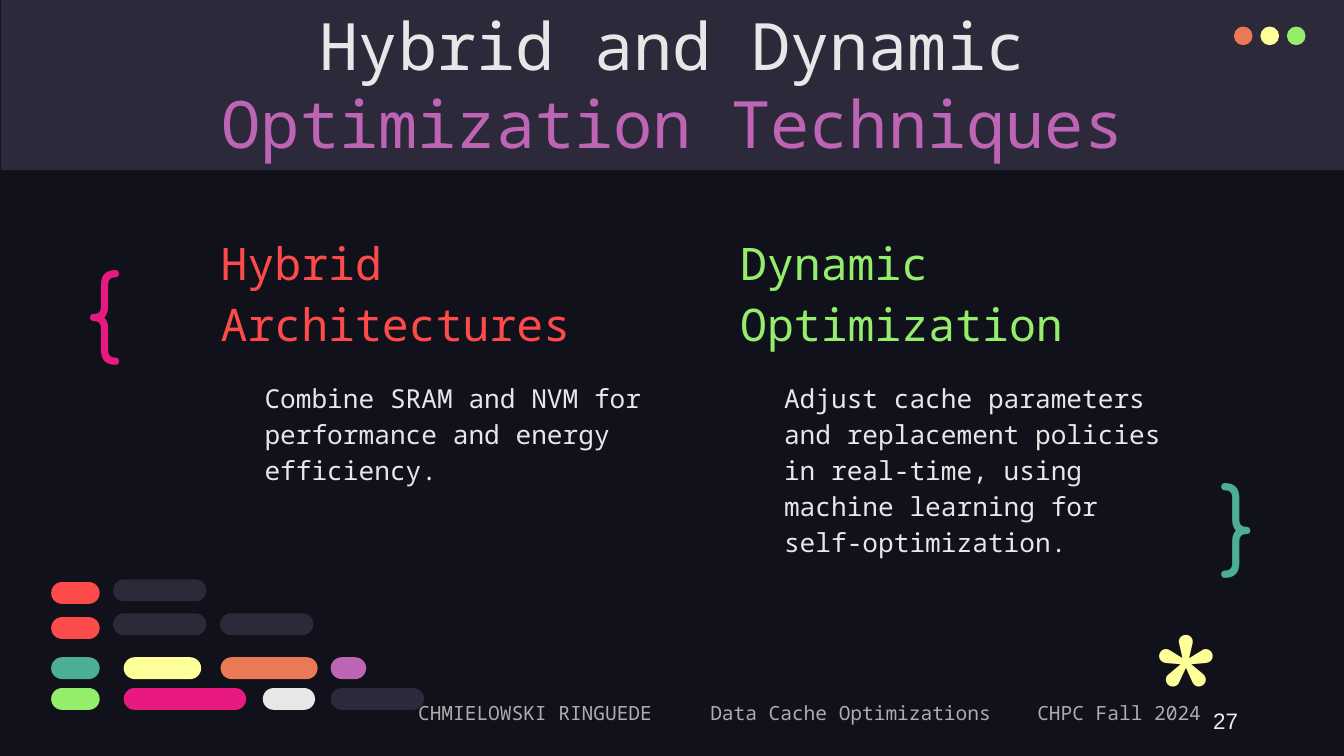
from lxml import etree
from pptx import Presentation
from pptx.dml.color import RGBColor
from pptx.enum.shapes import MSO_SHAPE
from pptx.enum.text import MSO_ANCHOR, MSO_AUTO_SIZE, PP_ALIGN
from pptx.oxml.ns import qn
from pptx.util import Pt

RECTANGLE = MSO_SHAPE.RECTANGLE
PILL = MSO_SHAPE.ROUNDED_RECTANGLE
OVAL = MSO_SHAPE.OVAL
TOP, MIDDLE, BOTTOM = MSO_ANCHOR.TOP, MSO_ANCHOR.MIDDLE, MSO_ANCHOR.BOTTOM
LEFT, CENTER, RIGHT = PP_ALIGN.LEFT, PP_ALIGN.CENTER, PP_ALIGN.RIGHT
NO_AUTOFIT = MSO_AUTO_SIZE.NONE

MONO, ROUND, SANS = "Noto Sans Mono", "Comfortaa", "Arial"
NIGHT, SLATE, WHITE = "10111A", "2C293A", "E7E7E7"
RED, ORANGE, YELLOW, GREEN = "FD4A4A", "EC7955", "FFFF99", "94EE6B"
TEAL, PINK, PURPLE = "4CAE97", "E81A81", "BD64B5"
GRAY, PALE = "ADADAD", "ECECEC"

COLUMNS = [
    ("Hybrid Architectures", RED,
     "Combine SRAM and NVM for performance and energy efficiency."),
    ("Dynamic Optimization", GREEN,
     "Adjust cache parameters and replacement policies in real-time, "
     "using machine learning for self-optimization."),
]
PILL_ROWS = [
    (311.8, [(27.4, 26, RED)]),
    (330.6, [(27.4, 26, RED)]),
    (352.1, [(27.4, 26, TEAL), (66.3, 41.5, YELLOW),
             (118.2, 52, ORANGE), (177.2, 19, PURPLE)]),
    (368.6, [(27.4, 26, GREEN), (66.3, 65.6, PINK),
             (140.8, 28, WHITE), (177.2, 50, SLATE)]),
    (328.6, [(60.6, 50, SLATE), (117.9, 50, SLATE)]),
    (310.4, [(60.6, 50, SLATE)]),
]


def color(code):
    return RGBColor.from_string(code)


def place(box, left, top, width, height):
    box.left, box.top = Pt(left), Pt(top)
    box.width, box.height = Pt(width), Pt(height)


def add_solid(shapes, kind, area, fill):
    solid = shapes.add_shape(kind, *map(Pt, area))
    solid.shadow.inherit = False
    solid.fill.solid()
    solid.fill.fore_color.rgb = color(fill)
    solid.line.fill.background()
    if kind == PILL:
        solid.adjustments[0] = 0.5
    return solid


def write(box, spans, size, font=MONO, align=LEFT, anchor=TOP, spacing=1.0, inset=7.2):
    frame = box.text_frame
    frame.word_wrap = True
    frame.auto_size = NO_AUTOFIT
    frame.vertical_anchor = anchor
    frame.margin_left = frame.margin_right = Pt(7.2)
    frame.margin_top = frame.margin_bottom = Pt(inset)
    para = frame.paragraphs[0]
    para.alignment = align
    para.line_spacing = spacing
    para.space_before = para.space_after = Pt(0)
    for text, ink in spans:
        span = para.add_run()
        span.text = text
        span.font.size = Pt(size)
        span.font.name = font
        span.font.bold = False
        span.font.color.rgb = color(ink)
    return para


def remove_bullet(para):
    properties = para._p.get_or_add_pPr()
    properties.set("marL", "0")
    properties.set("indent", "0")
    etree.SubElement(properties, qn("a:buNone"))


def set_tabs(para, positions):
    tabs = etree.SubElement(para._p.get_or_add_pPr(), qn("a:tabLst"))
    for position in positions:
        etree.SubElement(tabs, qn("a:tab"), pos=str(Pt(position)), algn="l")


def add_label(page, area, text, ink, size, font, **layout):
    box = page.shapes.add_textbox(*map(Pt, area))
    write(box, [(text, ink)], size, font, **layout)


def add_header(page):
    title = page.shapes.title
    band = add_solid(page.shapes, RECTANGLE, (0.5, 0, 720, 91.2), SLATE)
    title._element.addprevious(band._element)
    place(title, 57, -4.5, 607, 45)
    write(title, [("Hybrid and Dynamic ", WHITE), ("Optimization Techniques", PURPLE)],
          35, align=CENTER)
    dots = page.shapes.add_group_shape()
    for index, fill in enumerate((ORANGE, YELLOW, GREEN)):
        add_solid(dots.shapes, OVAL, (661 + 14.2 * index, 14.2, 10, 10), fill)


def add_columns(page):
    for index, (heading, ink, detail) in enumerate(COLUMNS):
        left = 111 + 278.3 * index
        heading_box = page.placeholders[1 + 2 * index]
        detail_box = page.placeholders[2 + 2 * index]
        place(heading_box, left, 151.2, 220, 44)
        place(detail_box, left + 23.5, 195.2, 220, 117)
        remove_bullet(write(heading_box, [(heading, ink)], 24, anchor=BOTTOM, spacing=1.15))
        remove_bullet(write(detail_box, [(detail, WHITE)], 14, spacing=1.15))


def add_pills(page):
    pills = page.shapes.add_group_shape()
    for top, row in PILL_ROWS:
        for left, width, fill in row:
            add_solid(pills.shapes, PILL, (left, top, width, 11.7), fill)


def add_footer(page):
    box = page.shapes.add_textbox(Pt(206), Pt(366.5), Pt(514), Pt(36))
    text = "CHMIELOWSKI RINGUEDE\tData Cache Optimizations\tCHPC Fall 2024"
    para = write(box, [(text, GRAY)], 10.5, spacing=1.15)
    box.text_frame.margin_left = Pt(18)
    set_tabs(para, (156.5, 331.7))


def main():
    deck = Presentation()
    deck.slide_width, deck.slide_height = Pt(720), Pt(405)
    page = deck.slides.add_slide(deck.slide_layouts[4])
    page.background.fill.solid()
    page.background.fill.fore_color.rgb = color(NIGHT)
    add_header(page)
    add_columns(page)
    add_label(page, (39, 126.7, 55.5, 68.4), "{", PINK, 50, ROUND)
    add_label(page, (646.6, 248.4, 41, 60), "}", TEAL, 50, ROUND, anchor=MIDDLE)
    add_pills(page)
    add_footer(page)
    add_label(page, (610, 312.5, 41, 62.6), "*", YELLOW, 96, ROUND)
    add_label(page, (508.3, 375, 162, 21.6), "27", PALE, 12, SANS,
              align=RIGHT, anchor=MIDDLE, inset=3.6)
    deck.save("out.pptx")


if __name__ == "__main__":
    main()
